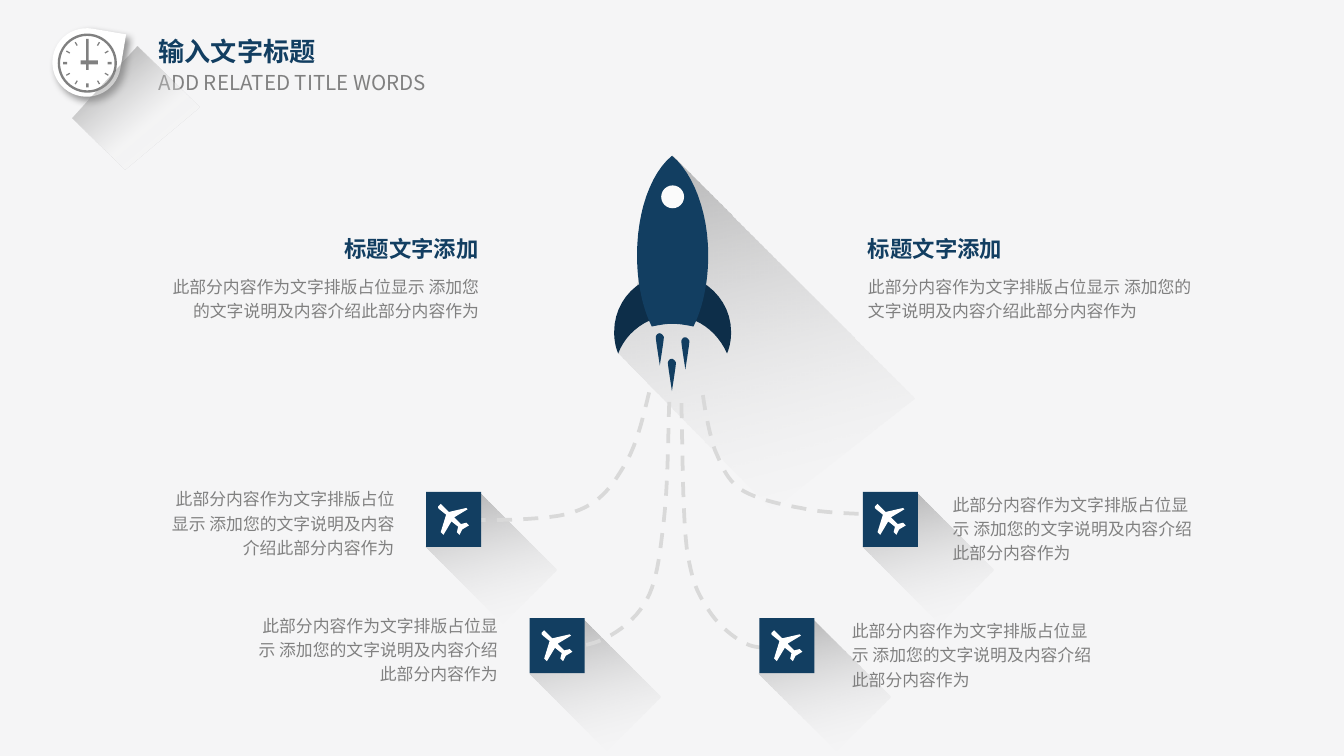
from math import cos, radians, sin
from typing import NamedTuple

from pptx import Presentation
from pptx.dml.color import RGBColor
from pptx.enum.dml import MSO_LINE
from pptx.enum.shapes import MSO_SHAPE as Shape
from pptx.enum.text import MSO_AUTO_SIZE as AutoSize, PP_ALIGN as Align
from pptx.oxml import parse_xml
from pptx.oxml.ns import nsdecls, qn
from pptx.util import Emu, Pt

PX = 9144  # EMU in one px, 100 px to the inch
SLIDE_W = 1000
SLIDE_H = SLIDE_W * 9 / 16
FONT = "Noto Sans CJK SC"
NAVY, DARK_NAVY, GRAY, TRAIL, WHITE = "123E61", "0D2E49", "808080", "D9D9D9", "FFFFFF"
BODY = "此部分内容作为文字排版占位显示 添加您的文字说明及内容介绍此部分内容作为"
HEADING = "标题文字添加"
LONG_SHADOW = [(0, "000000", 30), (100, "FFFFFF", 0)]
CLOCK_SHADOW = [(0, "404040", 57), (61, "F2F2F2", 34), (100, "F2F2F2", 0)]
Points = list[tuple[float, float]]


class Label(NamedTuple):
    text: str
    x: int
    y: int
    w: int
    h: int
    size: int = 9
    color: str = GRAY
    bold: bool = False
    align: Align = Align.LEFT
    spacing: float = 1.2
    inset: tuple[int, int] = (10, 5)


LABELS = [
    Label("输入文字标题", 112, 23, 215, 29, 14, NAVY, True, spacing=1.0, inset=(6, 3)),
    Label("ADD RELATED TITLE WORDS", 107, 47, 252, 29, 11,
          align=Align.JUSTIFY, spacing=1.0, inset=(11, 5)),
    Label(HEADING, 182, 166, 184, 32, 12, NAVY, True, Align.RIGHT),
    Label(BODY, 118, 198, 248, 46, align=Align.RIGHT),
    Label(HEADING, 636, 166, 184, 32, 12, NAVY, True),
    Label(BODY, 636, 198, 262, 46),
    Label(BODY, 114, 356, 189, 63, align=Align.RIGHT),
    Label(BODY, 181, 450, 199, 65, align=Align.RIGHT),
    Label(BODY, 699, 360, 199, 63),
    Label(BODY, 624, 454, 199, 63),
]
TILES = [(317, 366), (394, 460), (565, 460), (642, 366)]
FLAMES = [(491, 248), (500, 267), (510, 251)]

# Curves: a start point, then two control points and an end point per segment.
TRAILS = [
    [(498, 299), (497, 330), (497, 361), (494, 387), (491, 412), (489, 435), (479, 450),
     (469, 466), (449, 478), (435, 480)],
    [(507, 300), (508, 342), (508, 383), (511, 408), (515, 434), (519, 441), (526, 452),
     (533, 464), (544, 473), (553, 478), (562, 483), (570, 482), (579, 481)],
    [(483, 292), (478, 313), (473, 334), (463, 349), (454, 364), (445, 375), (427, 381),
     (409, 388), (353, 387), (353, 387)],
    [(523, 294), (525, 308), (528, 323), (532, 335), (537, 346), (540, 356), (551, 364),
     (562, 371), (579, 375), (596, 378), (613, 382), (639, 382), (652, 383)],
]
FLAME = [(0, 0), (-2, 0), (-3, 2), (-3, 3), (-3, 5), (0, 24), (0, 24),
         (0, 24), (3, 5), (3, 3), (3, 2), (1, 0), (0, 0)]
FINS = [(500, 235), (519, 235), (534, 247), (541, 263), (543, 258), (544, 253), (544, 247),
        (544, 223), (524, 204), (500, 204), (476, 204), (457, 223), (457, 247),
        (457, 253), (458, 258), (460, 263), (466, 247), (482, 235), (500, 235)]
HULL = [(500, 241), (506, 241), (511, 242), (516, 243), (523, 229), (527, 210), (527, 190),
        (527, 158), (516, 129), (500, 116), (484, 129), (474, 158), (474, 190),
        (474, 210), (478, 229), (485, 243), (490, 242), (495, 241), (500, 241)]
PLANE = [(30, 23), (26, 24), (21, 19), (31, 13), (30, 12), (17, 15), (12, 10), (11, 9),
         (10, 10), (9, 11), (9, 12), (10, 13), (15, 17), (11, 30), (13, 32), (19, 22),
         (24, 26), (23, 30), (25, 32), (27, 28), (32, 25)]


def emu(px: float) -> Emu:
    return Emu(round(px * PX))


def rgb(color: str) -> RGBColor:
    return RGBColor.from_string(color)


def shift(points: Points, x: int, y: int) -> Points:
    return [(px + x, py + y) for px, py in points]


def flatten(curve: Points, steps: int = 12) -> Points:
    """Turn a chain of cubic curves into points along it."""
    points = [curve[0]]
    for i in range(0, len(curve) - 1, 3):
        for n in range(1, steps + 1):
            t = n / steps
            u = 1 - t
            weights = (u**3, 3 * u * u * t, 3 * u * t * t, t**3)
            points.append(tuple(sum(w * p[axis] for w, p in zip(weights, curve[i:i + 4]))
                                for axis in (0, 1)))
    return points


def rotate(points: Points, center: tuple[int, int], angle: float) -> Points:
    c, s = cos(radians(angle)), sin(radians(angle))
    cx, cy = center
    return [(cx + (x - cx) * c - (y - cy) * s, cy + (x - cx) * s + (y - cy) * c)
            for x, y in points]


def paint(s, color: str):
    s.shadow.inherit = False
    s.fill.solid()
    s.fill.fore_color.rgb = rgb(color)
    s.line.fill.background()
    return s


def fade(s, stops: list, angle: int) -> None:
    """Fill with a gradient of (position, colour, opacity) stops."""
    paint(s, WHITE)
    gs = "".join(f'<a:gs pos="{pos * 1000}"><a:srgbClr val="{color}">'
                 f'<a:alpha val="{alpha * 1000}"/></a:srgbClr></a:gs>'
                 for pos, color, alpha in stops)
    spPr = s._element.spPr
    spPr.replace(spPr.find(qn("a:solidFill")), parse_xml(
        f'<a:gradFill {nsdecls("a")} rotWithShape="1"><a:gsLst>{gs}</a:gsLst>'
        f'<a:lin ang="{angle * 60000}" scaled="0"/></a:gradFill>'))


def add_preset(slide, kind: Shape, x: float, y: float, w: float, h: float,
               color: str, rotation: float = 0):
    s = slide.shapes.add_shape(kind, emu(x), emu(y), emu(w), emu(h))
    s.rotation = rotation
    return paint(s, color)


def add_outline(slide, points: Points, color: str = WHITE, close: bool = True):
    start, *rest = [(emu(x), emu(y)) for x, y in points]
    builder = slide.shapes.build_freeform(*start)
    builder.add_line_segments(rest, close=close)
    return paint(builder.convert_to_shape(), color)


def add_trail(slide, curve: Points) -> None:
    s = add_outline(slide, flatten(curve), close=False)
    s.fill.background()
    s.line.color.rgb = rgb(TRAIL)
    s.line.width = Pt(2)
    s.line.dash_style = MSO_LINE.DASH


def add_label(slide, label: Label) -> None:
    box = slide.shapes.add_textbox(*map(emu, (label.x, label.y, label.w, label.h)))
    tf = box.text_frame
    dx, dy = map(emu, label.inset)
    p = tf.paragraphs[0]
    r = p.add_run()
    r.text = label.text
    formats = [
        (tf, dict(word_wrap=True, auto_size=AutoSize.SHAPE_TO_FIT_TEXT, margin_left=dx,
                  margin_right=dx, margin_top=dy, margin_bottom=dy)),
        (p, dict(alignment=label.align, line_spacing=label.spacing)),
        (r.font, dict(name=FONT, size=Pt(label.size), bold=label.bold)),
    ]
    for target, values in formats:
        for name, value in values.items():
            setattr(target, name, value)
    r.font.color.rgb = rgb(label.color)
    r.font._element.append(parse_xml(f'<a:ea {nsdecls("a")} typeface="{FONT}"/>'))


def add_clock(slide) -> None:
    cx, cy = 65, 47
    drop = add_preset(slide, Shape.TEAR, 39, 21, 51, 51, WHITE, 9.5)
    drop._element.spPr.find(qn("a:effectLst")).append(parse_xml(
        f'<a:outerShdw {nsdecls("a")} blurRad="{Pt(4)}" dist="{Pt(3)}" dir="2700000" '
        'algn="tl" rotWithShape="0"><a:srgbClr val="000000"><a:alpha val="40000"/>'
        '</a:srgbClr></a:outerShdw>'))
    ring = add_preset(slide, Shape.DONUT, cx - 22, cy - 22, 44, 44, GRAY)
    ring.adjustments[0] = 0.04
    for hour in range(12):
        w = 1 if hour % 3 else 2
        angle = hour * 30
        x, y = cx + 16.5 * sin(radians(angle)), cy - 16.5 * cos(radians(angle))
        add_preset(slide, Shape.RECTANGLE, x - w / 2, y - 1.5, w, 3, GRAY, angle)
    add_preset(slide, Shape.RECTANGLE, 64, 32, 2, 20, GRAY)
    add_preset(slide, Shape.RECTANGLE, 60, 45, 13, 3, GRAY)


def add_rocket(slide) -> None:
    for x, y in FLAMES:
        add_outline(slide, flatten(shift(FLAME, x, y)), NAVY)
    add_outline(slide, flatten(FINS), DARK_NAVY)
    add_outline(slide, flatten(HULL), NAVY)
    add_preset(slide, Shape.OVAL, 492, 138, 17, 17, "FBFBFB")


def main() -> None:
    prs = Presentation()
    prs.slide_width, prs.slide_height = emu(SLIDE_W), emu(SLIDE_H)
    slide = prs.slides.add_slide(prs.slide_layouts[6])
    slide.background.fill.solid()
    slide.background.fill.fore_color.rgb = rgb("F5F5F6")

    add_clock(slide)
    for x, y in TILES:
        fade(add_preset(slide, Shape.RECTANGLE, x + 8, y + 21, 81, 57, WHITE, 45),
             LONG_SHADOW, 30)
    corners = [(500, 116), (680, 296), (574, 379), (460, 263)]
    rocket_shadow = add_outline(slide, rotate(corners, (543, 253), -45))
    rocket_shadow.rotation = 45
    fade(rocket_shadow, LONG_SHADOW, 30)

    for trail in TRAILS:
        add_trail(slide, trail)
    add_rocket(slide)
    for x, y in TILES:
        add_preset(slide, Shape.RECTANGLE, x, y, 41, 41, NAVY)
        add_outline(slide, shift(PLANE, x, y), WHITE)
    for label in LABELS:
        add_label(slide, label)
    fade(add_outline(slide, [(148, 80), (93, 126), (54, 88), (102, 35)]), CLOCK_SHADOW, 50)
    prs.save("out.pptx")


if __name__ == "__main__":
    main()
